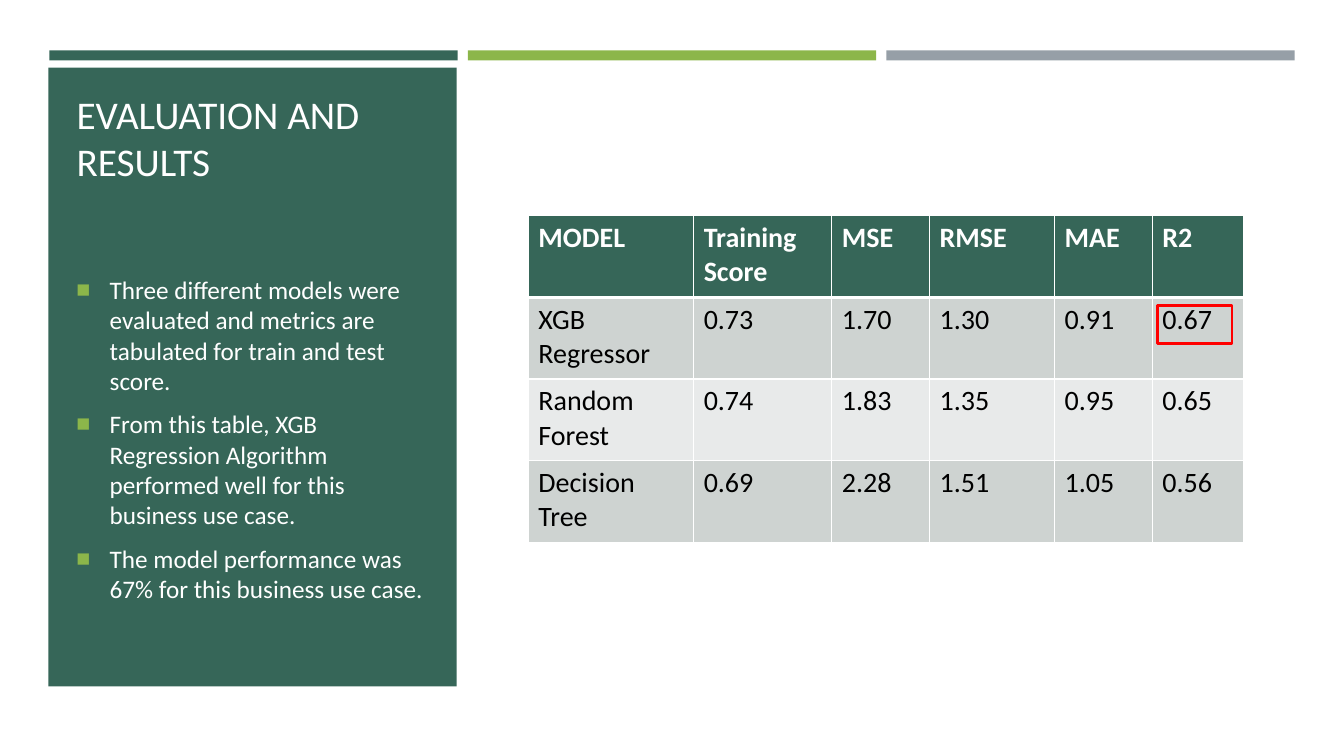
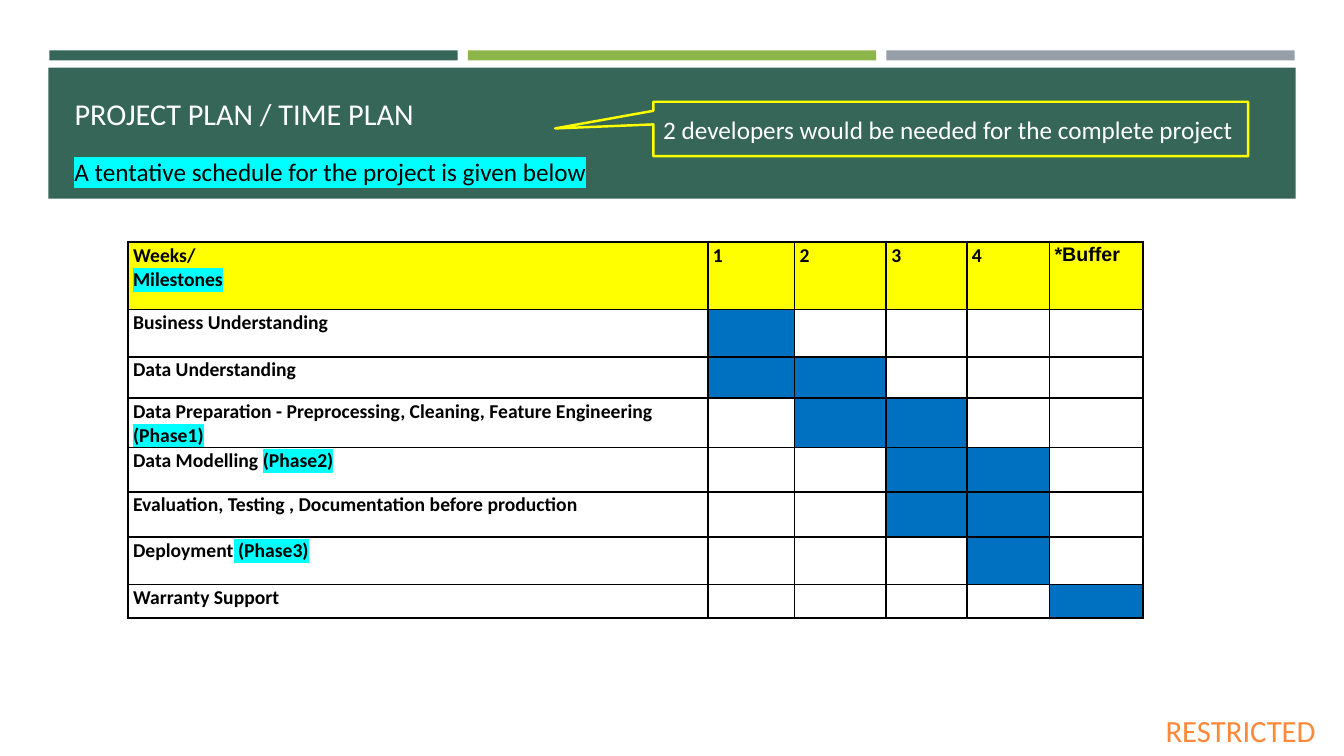
from lxml.etree import SubElement
from pptx import Presentation
from pptx.dml.color import RGBColor
from pptx.enum.shapes import MSO_SHAPE
from pptx.enum.text import MSO_ANCHOR, PP_ALIGN
from pptx.oxml.ns import qn
from pptx.util import Inches, Pt

GREEN, LIME, GREY = "366658", "8CB64A", "969FA7"
WHITE, BLACK, YELLOW, CYAN = "FFFFFF", "000000", "FFFF00", "00FFFF"
RED, BLUE, ORANGE = "FF0000", "0070C0", "FF8939"
STRIPES = ("CED3D1", "E8EAEA")
FONT = "Calibri"

FINDINGS = [
    "Three different models were evaluated and metrics are tabulated for train and test score.",
    "From this table, XGB Regression Algorithm performed well for this business use case.",
    "The model performance was 67% for this business use case.",
]
SCORES = [
    ("MODEL", "Training Score", "MSE", "RMSE", "MAE", "R2"),
    ("XGB Regressor", "0.73", "1.70", "1.30", "0.91", "0.67"),
    ("Random Forest", "0.74", "1.83", "1.35", "0.95", "0.65"),
    ("Decision Tree", "0.69", "2.28", "1.51", "1.05", "0.56"),
]
SCORE_WIDTHS = (1.64, 1.37, 0.97, 1.24, 0.97, 0.91)
SCORE_HEIGHTS = (0.81,) * 4

PLAN_HEADER = [["Weeks/", [("Milestones", CYAN)]], ["1"], ["2"], ["3"], ["4"], ["*Buffer"]]
MILESTONES = [
    ("Business Understanding", {1}),
    ("Data Understanding", {1, 2}),
    (["Data Preparation - Preprocessing, Cleaning, Feature Engineering ", ("(Phase1)", CYAN)], {2, 3}),
    (["Data Modelling ", ("(Phase2)", CYAN)], {3, 4}),
    ("Evaluation, Testing , Documentation before production", {3, 4}),
    (["Deployment", (" (Phase3)", CYAN)], {4}),
    ("Warranty Support", {5}),
]
PLAN_WIDTHS = (5.75, 0.86, 0.91, 0.8, 0.82, 0.93)
PLAN_HEIGHTS = (0.67, 0.47, 0.41, 0.49, 0.44, 0.45, 0.47, 0.33)


def rgb(value):
    return RGBColor.from_string(value)


def add_colour(parent, tag, value):
    holder = SubElement(parent, qn(tag))
    SubElement(holder, qn("a:srgbClr"), val=value)
    return holder


def add_bullet(para):
    properties = para._p.get_or_add_pPr()
    properties.set("marL", str(Inches(0.33)))
    properties.set("indent", str(-Inches(0.33)))
    add_colour(properties, "a:buClr", LIME)
    SubElement(properties, qn("a:buSzPct"), val="92000")
    SubElement(properties, qn("a:buFont"), typeface="Arial")
    SubElement(properties, qn("a:buChar"), char="■")


def write(frame, paragraphs, size=18, colour=WHITE, bold=False, font=FONT,
          align=PP_ALIGN.LEFT, spacing=1.0, before=0, after=0, bullet=False):
    for index, content in enumerate(paragraphs):
        para = frame.add_paragraph() if index else frame.paragraphs[0]
        para.alignment = align
        para.line_spacing = spacing
        para.space_before, para.space_after = Pt(before), Pt(after)
        if bullet:
            add_bullet(para)
        for piece in [content] if isinstance(content, str) else content:
            text, highlight = (piece, None) if isinstance(piece, str) else piece
            span = para.add_run()
            span.text = text
            span.font.size, span.font.bold = Pt(size), bold
            span.font.color.rgb = rgb(colour)
            if highlight:
                add_colour(span._r.get_or_add_rPr(), "a:highlight", highlight)
            span.font.name = font


def place(box, left, top, width, height):
    box.left, box.top = Inches(left), Inches(top)
    box.width, box.height = Inches(width), Inches(height)


def add_box(page, area, fill=None, line=None, kind=MSO_SHAPE.RECTANGLE):
    box = page.shapes.add_shape(kind, *map(Inches, area))
    box.shadow.inherit = False
    if fill:
        box.fill.solid()
        box.fill.fore_color.rgb = rgb(fill)
    else:
        box.fill.background()
    if line:
        box.line.color.rgb = rgb(line)
        box.line.width = Pt(1.75)
    else:
        box.line.fill.background()
    return box


def add_text(page, area, paragraphs, anchor=MSO_ANCHOR.TOP, **style):
    box = page.shapes.add_textbox(*map(Inches, area))
    box.text_frame.word_wrap = True
    box.text_frame.vertical_anchor = anchor
    write(box.text_frame, paragraphs, **style)
    return box


def add_page(deck, panel, title, title_area, size, anchor, margin_top=0.05):
    page = deck.slides.add_slide(deck.slide_layouts[5])
    for index, colour in enumerate((GREEN, LIME, GREY)):
        add_box(page, (0.49 + index * 4.15, 0.5, 4.05, 0.1), colour)
    add_box(page, panel, GREEN)
    heading = page.shapes.title
    heading.element.getparent().append(heading.element)
    place(heading, *title_area)
    heading.text_frame.word_wrap = True
    heading.text_frame.vertical_anchor = anchor
    heading.text_frame.margin_top = Inches(margin_top)
    write(heading.text_frame, [title], size=size)
    return page


def add_grid(page, left, top, widths, heights):
    area = (left, top, sum(widths), sum(heights))
    table = page.shapes.add_table(len(heights), len(widths), *map(Inches, area)).table
    for column, width in zip(table.columns, widths):
        column.width = Inches(width)
    for row, height in zip(table.rows, heights):
        row.height = Inches(height)
    return table


def format_cell(cell, fill, border, width, margins, top=None, bottom=None):
    properties = cell._tc.get_or_add_tcPr()
    for side, points in (("L", width), ("R", width), ("T", top or width), ("B", bottom or width)):
        edge = SubElement(properties, qn("a:ln" + side), w=str(Pt(points)))
        add_colour(edge, "a:solidFill", border)
    cell.fill.solid()
    cell.fill.fore_color.rgb = rgb(fill)
    cell.margin_left = cell.margin_right = Inches(margins[0])
    cell.margin_top, cell.margin_bottom = Inches(margins[1]), Inches(margins[2])


def build_results(deck):
    page = add_page(deck, (0.48, 0.67, 4.05, 6.14), "EVALUATION AND RESULTS",
                    (0.66, 0.77, 3.73, 1.11), 28, MSO_ANCHOR.BOTTOM)
    add_text(page, (0.66, 2.15, 3.73, 4.41), FINDINGS, MSO_ANCHOR.MIDDLE,
             before=3.6, after=6, bullet=True)
    table = add_grid(page, 5.24, 2.14, SCORE_WIDTHS, SCORE_HEIGHTS)
    for row, values in enumerate(SCORES):
        header = row == 0
        for column, value in enumerate(values):
            cell = table.cell(row, column)
            format_cell(cell, GREEN if header else STRIPES[(row - 1) % 2], WHITE, 1,
                        (0.1, 0.05, 0.05), top=3 if row == 1 else 1, bottom=3 if header else 1)
            write(cell.text_frame, [value], size=20,
                  colour=WHITE if header else BLACK, bold=header)
    add_box(page, (11.48, 3.03, 0.74, 0.38), line=RED)


def build_plan(deck):
    page = add_page(deck, (0.48, 0.67, 12.37, 1.3), "PROJECT PLAN / TIME PLAN",
                    (0.64, 0.77, 12.06, 1.11), 21.6, MSO_ANCHOR.TOP, 0.17)
    add_text(page, (0.64, 1.5, 6, 0.4),
             [[("A tentative schedule for the project is given below", CYAN)]], colour=BLACK)
    callout = add_box(page, (6.48, 1.01, 5.9, 0.54), line=YELLOW,
                      kind=MSO_SHAPE.RECTANGULAR_CALLOUT)
    callout.adjustments[0], callout.adjustments[1] = -0.665, -0.01
    callout.text_frame.word_wrap = True
    callout.text_frame.vertical_anchor = MSO_ANCHOR.MIDDLE
    write(callout.text_frame, ["2 developers would be needed for the complete project"])

    table = add_grid(page, 1.27, 2.4, PLAN_WIDTHS, PLAN_HEIGHTS)
    rows = [(PLAN_HEADER, None)]
    rows += [([[name]] + [[]] * 5, busy) for name, busy in MILESTONES]
    for row, (cells, busy) in enumerate(rows):
        for column, paragraphs in enumerate(cells):
            cell = table.cell(row, column)
            fill = YELLOW if busy is None else BLUE if column in busy else WHITE
            format_cell(cell, fill, BLACK, 1.5, (0.05, 0.01, 0))
            write(cell.text_frame, paragraphs, size=14, colour=BLACK, bold=True, spacing=1.02,
                  font="Arial" if paragraphs == ["*Buffer"] else FONT)

    add_text(page, (11.28, 6.99, 2.05, 0.51), ["RESTRICTED"], MSO_ANCHOR.MIDDLE,
             size=22, colour=ORANGE, align=PP_ALIGN.CENTER)


def main():
    deck = Presentation()
    deck.slide_width, deck.slide_height = Inches(13.33), Inches(7.5)
    build_results(deck)
    build_plan(deck)
    deck.save("out.pptx")


if __name__ == "__main__":
    main()
